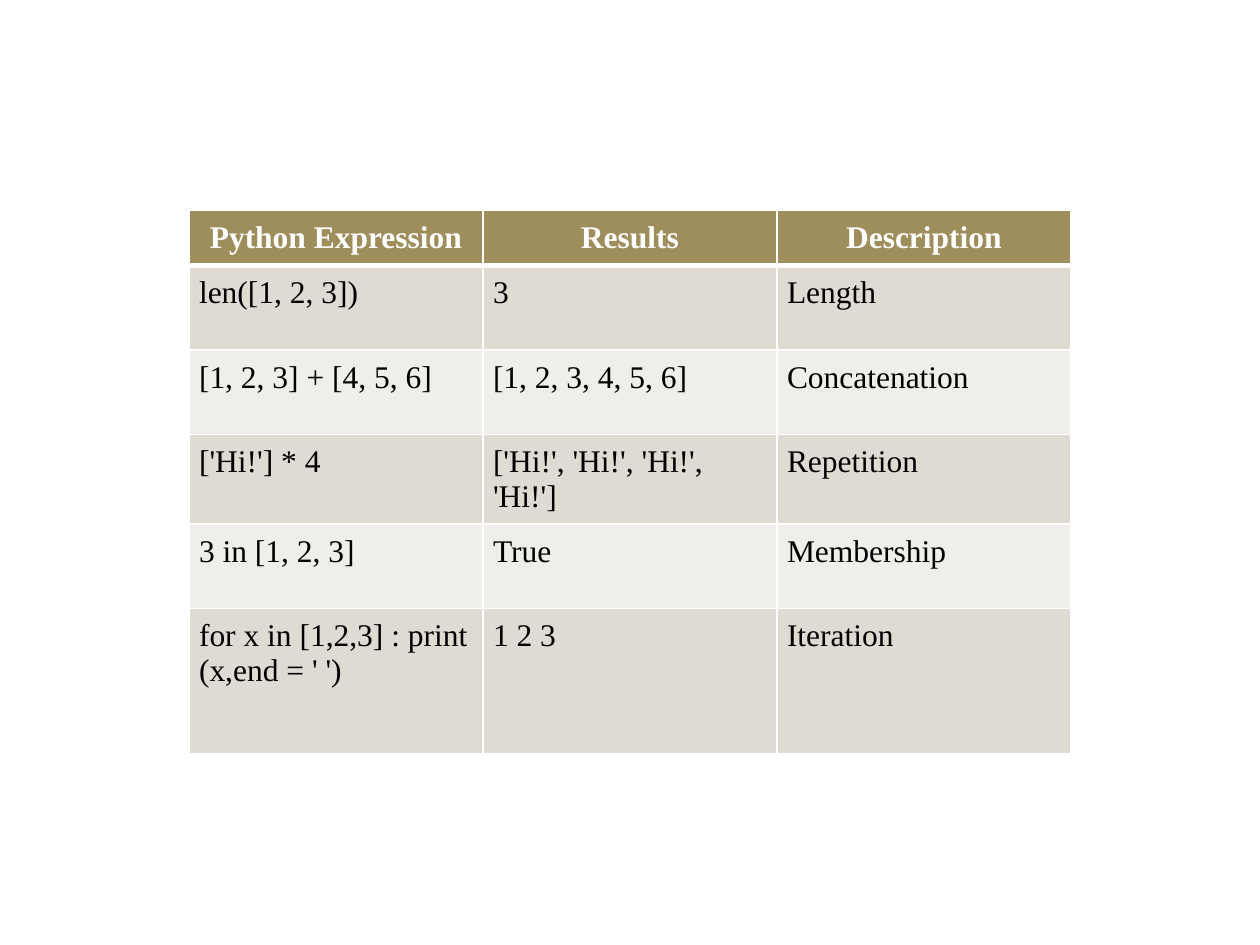
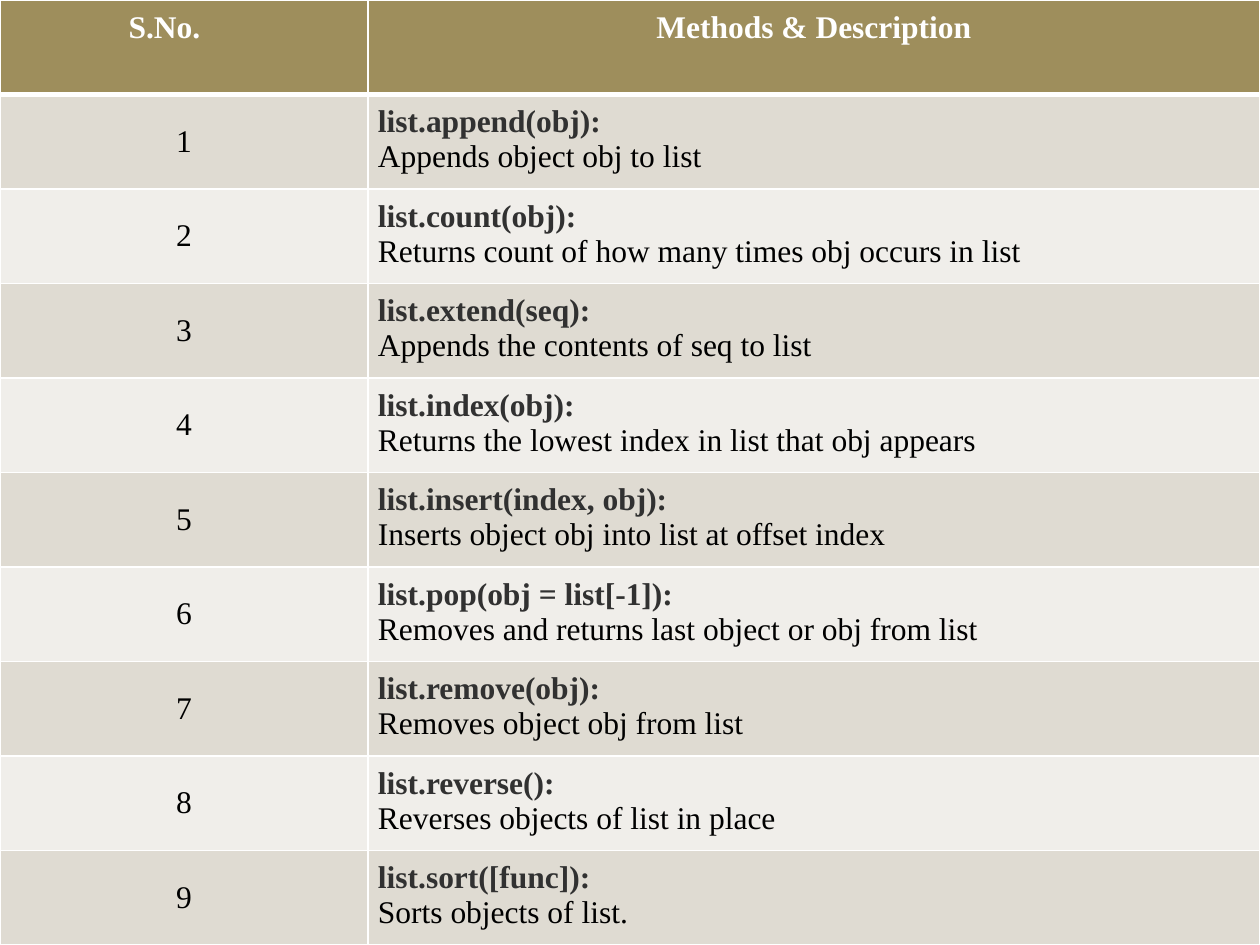
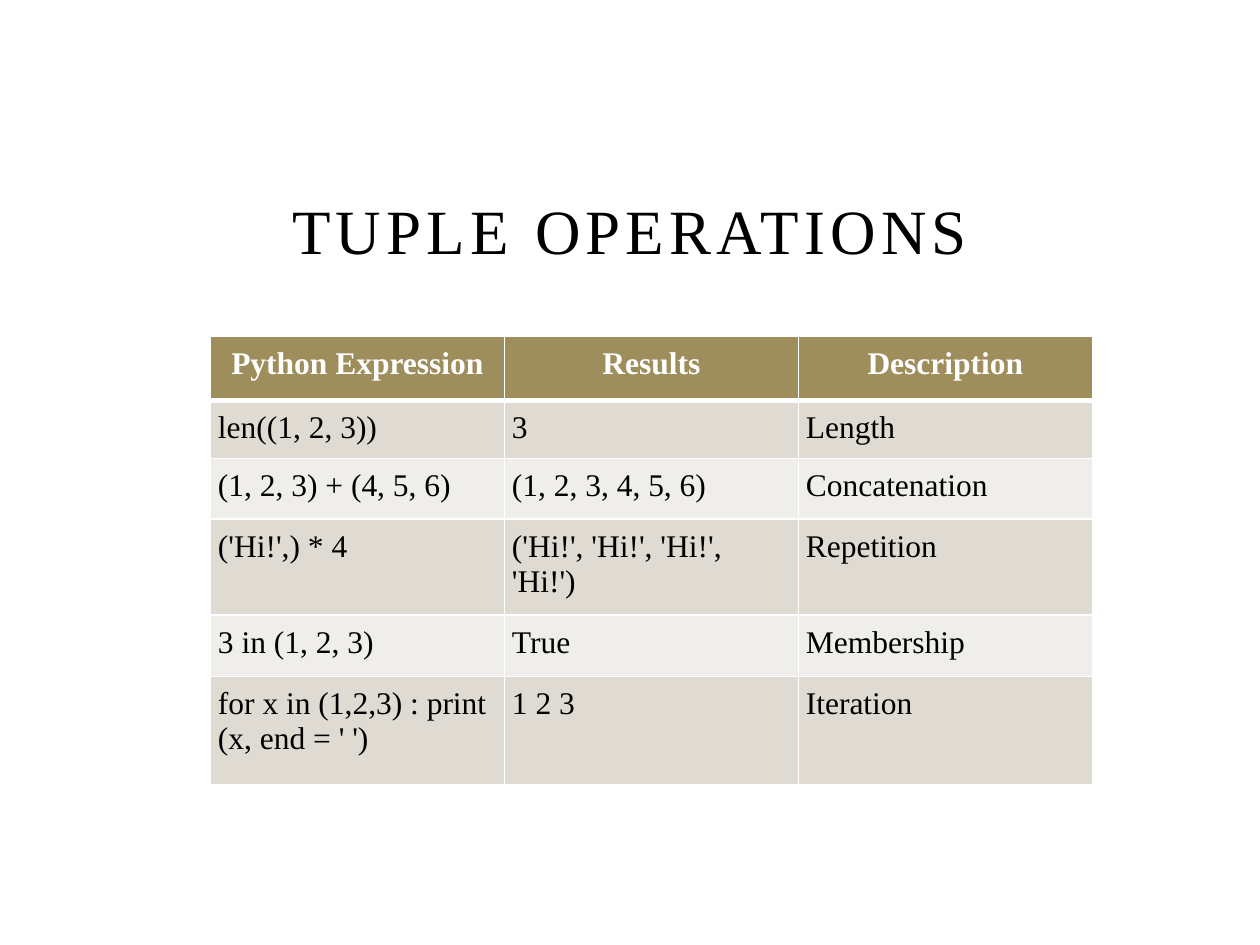
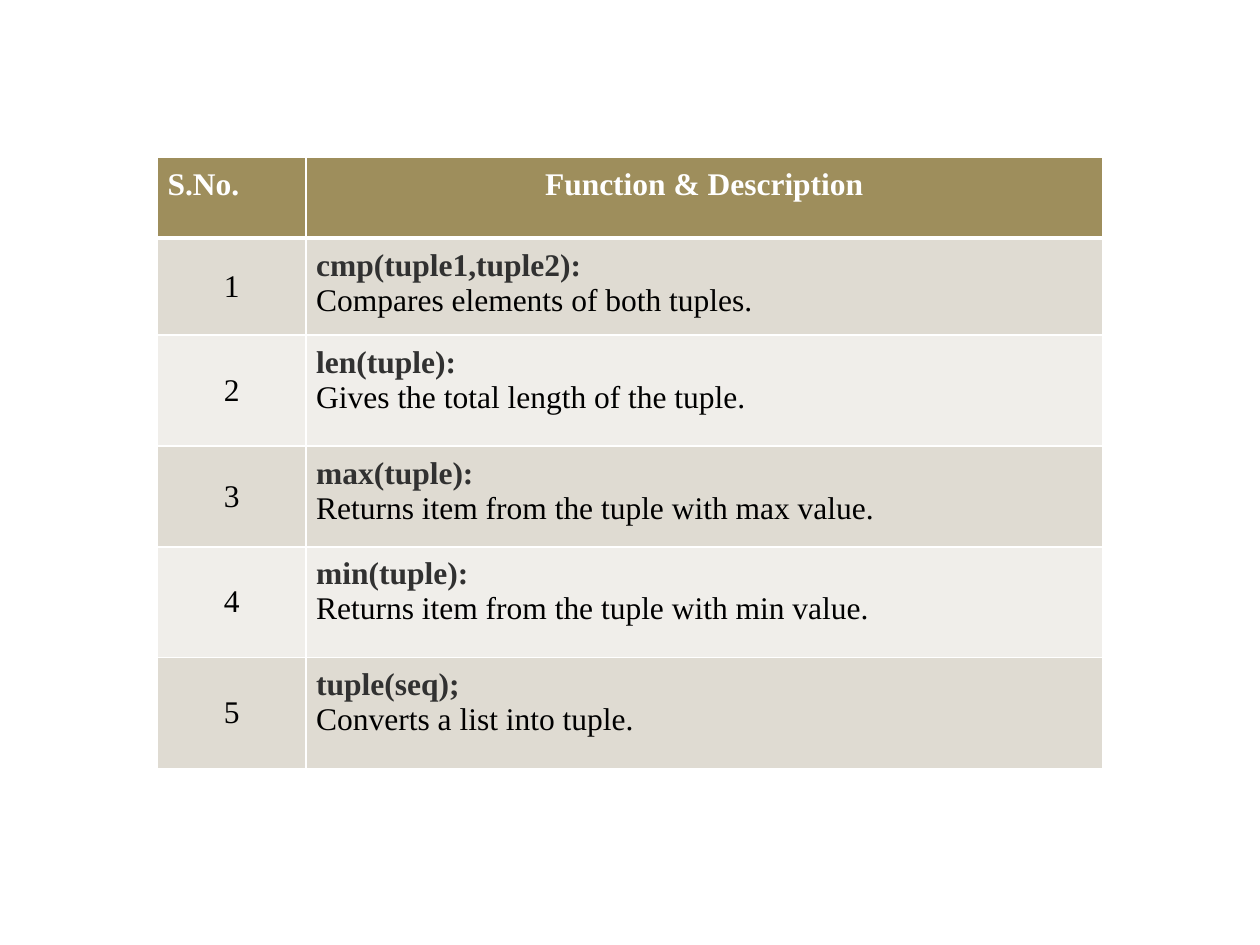
"""Build four slides of Python list and tuple reference tables."""
import dataclasses

import lxml.etree
import pptx
import pptx.dml.color
import pptx.enum.text
import pptx.oxml.ns
import pptx.slide
import pptx.table
import pptx.text.text
import pptx.util

Inches = pptx.util.Inches
Align = pptx.enum.text.PP_ALIGN
Anchor = pptx.enum.text.MSO_ANCHOR
qn = pptx.oxml.ns.qn

COLORS = {
    "head": "9E8E5C",
    "odd": "DFDBD2",
    "even": "F0EEEA",
    "white": "FFFFFF",
    "black": "000000",
    "code": "313131",
}
FONT = "Times New Roman"
PAD = 0.08


@dataclasses.dataclass
class Line:
    text: str
    color: str = "black"
    bold: bool = False


@dataclasses.dataclass
class Cell:
    lines: list[Line]
    align: Align = Align.LEFT
    anchor: Anchor = Anchor.TOP
    indent: float = 0


@dataclasses.dataclass
class Grid:
    left: float
    top: float
    cols: list[float]
    rows: list[float]
    cells: list[list[Cell]]
    side: float = PAD


def rgb(name: str) -> pptx.dml.color.RGBColor:
    return pptx.dml.color.RGBColor.from_string(COLORS[name])


def head(text: str, align: Align = Align.CENTER, indent: float = 0) -> Cell:
    return Cell([Line(text, "white", True)], align, indent=indent)


def plain(body: list[tuple[str, str, str]]) -> list[list[Cell]]:
    top = [head(text) for text in ("Python Expression", "Results", "Description")]
    return [top] + [[Cell([Line(text)]) for text in row] for row in body]


def listed(title: str, indent: float, body: list[tuple[str, str]]) -> list[list[Cell]]:
    cells = [[head("S.No.", Align.LEFT, indent), head(title)]]
    for num, (code, note) in enumerate(body, 1):
        cells.append([
            Cell([Line(str(num))], Align.CENTER, Anchor.MIDDLE),
            Cell([Line(code, "code", True), Line(note)], Align.JUSTIFY),
        ])
    return cells


def add_run(para: pptx.text.text._Paragraph, line: Line, size: float) -> pptx.text.text._Run:
    run = para.add_run()
    run.text = line.text
    run.font.name = FONT
    run.font.size = pptx.util.Pt(size)
    run.font.bold = line.bold
    run.font.color.rgb = rgb(line.color)
    return run


def add_edge(box: pptx.table._Cell, side: str, width: float) -> None:
    props = box._tc.get_or_add_tcPr()
    edge = lxml.etree.SubElement(props, qn(f"a:ln{side}"), w=str(pptx.util.Pt(width)))
    fill = lxml.etree.SubElement(edge, qn("a:solidFill"))
    lxml.etree.SubElement(fill, qn("a:srgbClr"), val=COLORS["white"])


def fill_cell(box: pptx.table._Cell, cell: Cell, row: int, side: float) -> None:
    thick = {"T": 3 if row == 1 else 1, "B": 3 if row == 0 else 1}
    for edge in "LRTB":
        add_edge(box, edge, thick.get(edge, 1))
    box.fill.solid()
    box.fill.fore_color.rgb = rgb("head" if row == 0 else "odd" if row % 2 else "even")
    box.margin_left = box.margin_right = Inches(side)
    box.margin_top = box.margin_bottom = Inches(PAD)
    box.vertical_anchor = cell.anchor
    frame = box.text_frame
    for num, line in enumerate(cell.lines):
        para = frame.add_paragraph() if num else frame.paragraphs[0]
        para.alignment = cell.align
        if cell.indent:
            para._p.get_or_add_pPr().set("marL", str(Inches(cell.indent)))
        add_run(para, line, 18)


def add_grid(slide: pptx.slide.Slide, grid: Grid) -> None:
    table = slide.shapes.add_table(
        len(grid.rows), len(grid.cols), Inches(grid.left), Inches(grid.top),
        Inches(sum(grid.cols)), Inches(sum(grid.rows)),
    ).table
    for col, width in zip(table.columns, grid.cols):
        col.width = Inches(width)
    for row, height in zip(table.rows, grid.rows):
        row.height = Inches(height)
    for y, row in enumerate(grid.cells):
        for x, cell in enumerate(row):
            fill_cell(table.cell(y, x), cell, y, grid.side)


def add_title(slide: pptx.slide.Slide, text: str) -> None:
    box = slide.shapes.add_textbox(Inches(1.5), Inches(1.42), Inches(7), Inches(0.75))
    frame = box.text_frame
    frame.word_wrap = True
    frame.vertical_anchor = Anchor.BOTTOM
    para = frame.paragraphs[0]
    para.alignment = Align.CENTER
    run = add_run(para, Line(text), 36)
    run._r.get_or_add_rPr().set("spc", "300")


LIST_OPS = [
    ("len([1, 2, 3])", "3", "Length"),
    ("[1, 2, 3] + [4, 5, 6]", "[1, 2, 3, 4, 5, 6]", "Concatenation"),
    ("['Hi!'] * 4", "['Hi!', 'Hi!', 'Hi!', 'Hi!']", "Repetition"),
    ("3 in [1, 2, 3]", "True", "Membership"),
    ("for x in [1,2,3] : print (x,end = ' ')", "1 2 3", "Iteration"),
]
METHODS = [
    ("list.append(obj):", "Appends object obj to list"),
    ("list.count(obj):", "Returns count of how many times obj occurs in list"),
    ("list.extend(seq):", "Appends the contents of seq to list"),
    ("list.index(obj):", "Returns the lowest index in list that obj appears"),
    ("list.insert(index, obj):", "Inserts object obj into list at offset index"),
    ("list.pop(obj = list[-1]):", "Removes and returns last object or obj from list"),
    ("list.remove(obj):", "Removes object obj from list"),
    ("list.reverse():", "Reverses objects of list in place"),
    ("list.sort([func]):", "Sorts objects of list."),
]
TUPLE_OPS = [
    ("len((1, 2, 3))", "3", "Length"),
    ("(1, 2, 3) + (4, 5, 6)", "(1, 2, 3, 4, 5, 6)", "Concatenation"),
    ("('Hi!',) * 4", "('Hi!', 'Hi!', 'Hi!', 'Hi!')", "Repetition"),
    ("3 in (1, 2, 3)", "True", "Membership"),
    ("for x in (1,2,3) : print (x, end = ' ')", "1 2 3", "Iteration"),
]
TUPLE_FUNCS = [
    ("cmp(tuple1,tuple2):", "Compares elements of both tuples."),
    ("len(tuple):", "Gives the total length of the tuple."),
    ("max(tuple):", "Returns item from the tuple with max value."),
    ("min(tuple):", "Returns item from the tuple with min value."),
    ("tuple(seq);", "Converts a list into tuple."),
]
THIRDS = [7 / 3] * 3
PAGES = [
    ("", Grid(1.5, 1.67, THIRDS, [0.25, 0.67, 0.67, 0.5, 0.67, 1.15], plain(LIST_OPS))),
    ("", Grid(0, 0, [2.92, 7.08], [0.75] * 10,
              listed("Methods & Description", 0.94, METHODS))),
    ("TUPLE OPERATIONS", Grid(1.67, 2.67, THIRDS, [0.51, 0.46, 0.48, 0.49, 0.49, 0.86],
                              plain(TUPLE_OPS), 0.06)),
    ("", Grid(1.25, 1.25, [1.18, 6.32], [0.64, 0.77, 0.88, 0.8, 0.88, 0.88],
              listed("Function & Description", 0, TUPLE_FUNCS))),
]


def main() -> None:
    deck = pptx.Presentation()
    deck.slide_width, deck.slide_height = Inches(10), Inches(7.5)
    for title, grid in PAGES:
        slide = deck.slides.add_slide(deck.slide_layouts[6])
        if title:
            add_title(slide, title)
        add_grid(slide, grid)
    deck.save("out.pptx")


if __name__ == "__main__":
    main()
